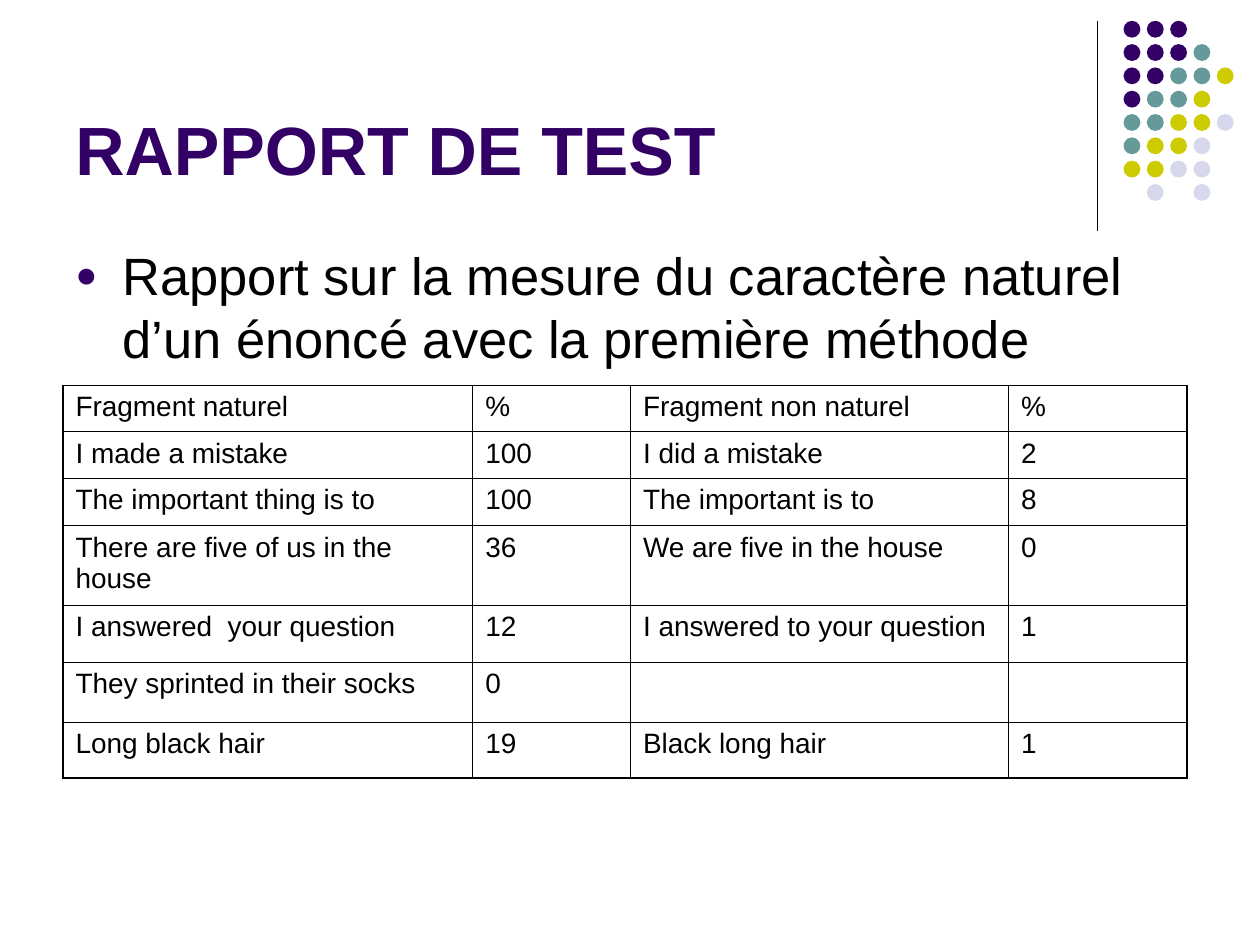
from lxml.etree import SubElement
from pptx import Presentation
from pptx.dml.color import RGBColor
from pptx.enum.shapes import MSO_CONNECTOR, MSO_SHAPE
from pptx.enum.text import MSO_ANCHOR
from pptx.oxml.ns import qn
from pptx.util import Cm, Pt

PURPLE = RGBColor(0x33, 0x00, 0x66)
TEAL = RGBColor(0x66, 0x99, 0x99)
LIME = RGBColor(0xCC, 0xCC, 0x00)
PALE = RGBColor(0xD8, 0xD8, 0xEC)
BLACK = RGBColor(0, 0, 0)

HUES = {"P": PURPLE, "T": TEAL, "L": LIME, "G": PALE}
DOTS = ["PPP", "PPPT", "PPTTL", "PTTL", "TTLLG", "TLLG", "LLGG", " G G"]
THIN, THICK = 0.45, 1.08

WIDTHS = [8.26, 3.18, 7.62, 3.6]
HEIGHTS = [0.93, 0.93, 0.96, 1.6, 1.15, 1.2, 1.13]
ROWS = [
    ("Fragment naturel", "%", "Fragment non naturel", "%"),
    ("I made a mistake", "100", "I did a mistake", "2"),
    ("The important thing is to", "100", "The important is to", "8"),
    ("There are five of us in the house", "36", "We are five in the house", "0"),
    ("I answered  your question", "12", "I answered to your question", "1"),
    ("They sprinted in their socks", "0", "", ""),
    ("Long black hair", "19", "Black long hair", "1"),
]


def add_run(para, text, size, color=BLACK, bold=False):
    run = para.add_run()
    run.text = text
    font = run.font
    font.name, font.size, font.bold = "Arial", Pt(size), bold
    font.color.rgb = color


def add_box(slide, left, top, width, height, anchor):
    """Add a wrapping text box and return its first paragraph."""
    box = slide.shapes.add_textbox(Cm(left), Cm(top), Cm(width), Cm(height))
    frame = box.text_frame
    frame.word_wrap = True
    frame.vertical_anchor = anchor
    return frame.paragraphs[0]


def add_bullet(para, indent):
    props = para._p.get_or_add_pPr()
    props.set("marL", str(indent))
    props.set("indent", str(-indent))
    color = SubElement(props, qn("a:buClr"))
    SubElement(color, qn("a:srgbClr"), val=str(PURPLE))
    SubElement(props, qn("a:buSzPct"), val="70000")
    SubElement(props, qn("a:buFont"), typeface="Arial")
    SubElement(props, qn("a:buChar"), char="●")


def add_rule(slide, x, top, end):
    rule = slide.shapes.add_connector(
        MSO_CONNECTOR.STRAIGHT, Cm(x), Cm(top), Cm(x), Cm(end))
    rule.line.color.rgb = BLACK
    rule.line.width = Pt(0.75)
    SubElement(rule._element.spPr, qn("a:effectLst"))


def add_dots(slide, left, top, step, size):
    group = slide.shapes.add_group_shape()
    for row, line in enumerate(DOTS):
        for col, key in enumerate(line):
            if key not in HUES:
                continue
            dot = group.shapes.add_shape(
                MSO_SHAPE.OVAL, Cm(left + col * step), Cm(top + row * step),
                Cm(size), Cm(size))
            dot.shadow.inherit = False
            dot.fill.solid()
            dot.fill.fore_color.rgb = HUES[key]
            dot.line.fill.background()


def set_edges(cell, widths):
    """Draw black borders; widths are left, right, top, bottom in points."""
    props = cell._tc.get_or_add_tcPr()
    for spot, (side, width) in enumerate(zip("LRTB", widths)):
        edge = props.makeelement(qn(f"a:ln{side}"), {"w": str(Pt(width))})
        fill = SubElement(edge, qn("a:solidFill"))
        SubElement(fill, qn("a:srgbClr"), val=str(BLACK))
        props.insert(spot, edge)


def add_grid(slide, left, top):
    table = slide.shapes.add_table(
        len(ROWS), len(WIDTHS), Cm(left), Cm(top),
        Cm(sum(WIDTHS)), Cm(sum(HEIGHTS))).table
    table.first_row = table.horz_banding = False
    for col, width in zip(table.columns, WIDTHS):
        col.width = Cm(width)
    for row, height in zip(table.rows, HEIGHTS):
        row.height = Cm(height)
    for r, line in enumerate(ROWS):
        for c, text in enumerate(line):
            cell = table.cell(r, c)
            cell.fill.background()
            ends = (c == 0, c == len(WIDTHS) - 1, r == 0, r == len(ROWS) - 1)
            set_edges(cell, [THICK if end else THIN for end in ends])
            para = cell.text_frame.paragraphs[0]
            if text:
                add_run(para, text, 16)
            else:
                para.font.size = Pt(16)


def main():
    deck = Presentation()
    deck.slide_width, deck.slide_height = Cm(25.4), Cm(19.05)
    slide = deck.slides.add_slide(deck.slide_layouts[6])

    add_rule(slide, 22.12, 0.42, 4.65)
    add_dots(slide, 22.65, 0.42, 0.47, 0.34)

    title = add_box(slide, 1.27, 0.34, 20.96, 3.6, MSO_ANCHOR.BOTTOM)
    add_run(title, "RAPPORT DE TEST", 39, PURPLE, True)

    body = add_box(slide, 1.27, 4.78, 22.86, 12.24, MSO_ANCHOR.TOP)
    add_bullet(body, Cm(0.95))
    add_run(body, "Rapport sur la mesure du caractère naturel "
                  "d’un énoncé avec la première méthode", 30)

    add_grid(slide, 1.27, 7.77)
    deck.save("out.pptx")


if __name__ == "__main__":
    main()
